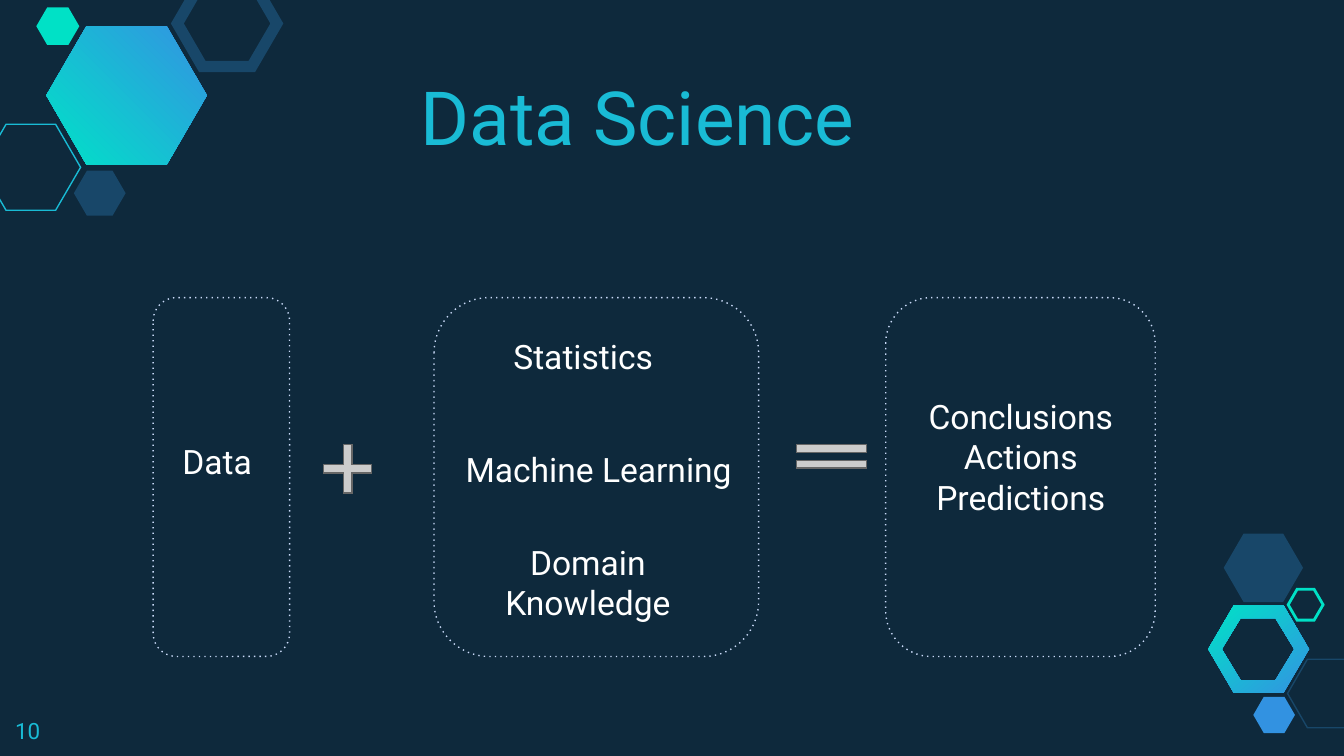
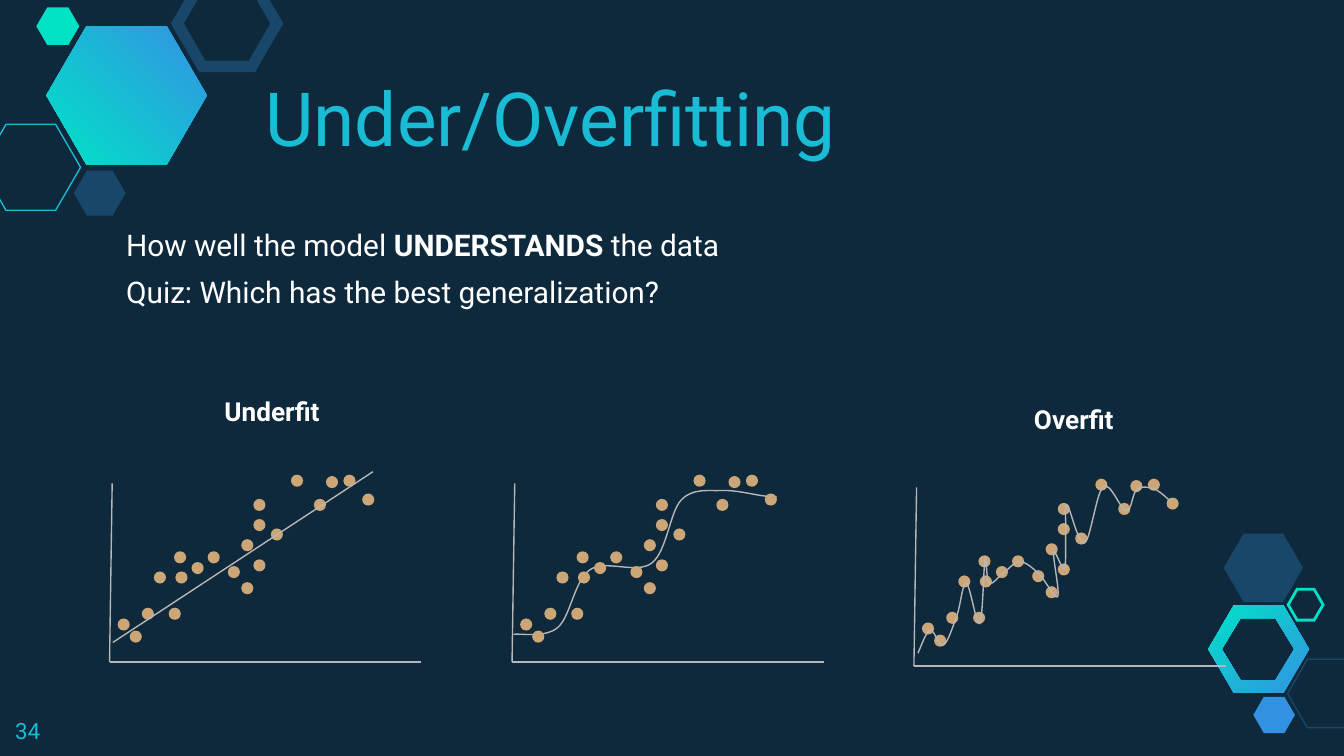
from lxml.etree import SubElement
from pptx import Presentation
from pptx.dml.color import RGBColor
from pptx.enum.dml import MSO_LINE
from pptx.enum.shapes import MSO_CONNECTOR, MSO_SHAPE
from pptx.enum.text import MSO_ANCHOR, MSO_AUTO_SIZE, PP_ALIGN
from pptx.oxml.ns import qn
from pptx.util import Inches, Pt

WIDE = Inches(10)
HIGH = Inches(5.625)
COLS = 100

FONT = "Roboto"
NIGHT, NAVY, CYAN, MINT, BLUE = "0E293C", "184769", "19BBD5", "00E1C6", "3292E1"
WHITE, PALE, LIGHT, DARK = "FFFFFF", "C9DAF8", "CCCCCC", "666666"
GREY, SAND = "B7B7B7", "CCA677"

INSET = 1
FRAME = {
    "word_wrap": True,
    "auto_size": MSO_AUTO_SIZE.NONE,
}
HEXES = [
    (3.45, 1.95, 11.95, 10.3, {"blend": 225}),
    (-1.4, 9.25, 7.4, 6.4, {"edge": CYAN}),
    (5.5, 12.7, 3.85, 3.35, {"fill": NAVY}),
    (13.2, -1.45, 7.4, 6.4, {"edge": NAVY, "thick": 6}),
    (2.7, 0.55, 3.2, 2.8, {"fill": MINT}),
    (95.8, 49.05, 5.9, 5.1, {"edge": NAVY}),
    (93.25, 51.85, 3.1, 2.7, {"fill": BLUE}),
    (91.05, 39.7, 5.9, 5.1, {"fill": NAVY}),
    (95.85, 43.85, 2.6, 2.3, {"edge": MINT, "thick": 1.5}),
]
DOTS = [
    (10.7, 12.1), (10.7, 7.6), (12, 9.9), (9.8, 9.1), (4.8, 8.2), (4.9, 6.7),
    (4.4, 4), (3.3, 6.7), (7.3, 8.2), (17.4, 13.9), (10.7, 10.6),
    (18.8, 12.5), (13.5, 13.9), (2.4, 4), (1.5, 2.3), (0.6, 3.2),
    (15.2, 12.1), (9.8, 5.9), (16.1, 13.8), (6.1, 7.4), (8.8, 7.1),
]
SMOOTH = [
    (38.2, 47.2), (41.5, 46.7), (43.9, 42.4), (48.5, 41.9),
    (50.7, 37.2), (53.7, 36.5), (56.8, 36.9), (57.8, 37),
]
JAGGED = [
    (68.3, 48.6), (69.2, 46.9), (70.2, 48), (71.2, 45.8), (71.9, 43.4),
    (72.9, 46.4), (73.3, 41.6), (73.6, 43.4), (74.7, 42.6), (75.9, 41.8),
    (77.3, 42.7), (78.7, 44.4), (78.4, 41.1), (79.2, 42.3), (79.3, 39.5),
    (79.4, 37.6), (80.7, 40.4), (82.1, 36.2), (83.8, 38), (84.6, 36.4),
    (85.9, 36.4), (87.1, 37.3),
]


def cells(*counts):
    return [round(WIDE * count / COLS) for count in counts]


def hue(code):
    return RGBColor.from_string(code)


def apply(item, values):
    for name, value in values.items():
        setattr(item, name, value)


def paint(shape, fill=None, edge=None, thick=0.75, dots=False, blend=None):
    shape.shadow.inherit = False
    if blend is not None:
        shape.fill.gradient()
        shape.fill.gradient_angle = blend
        for stop, code in zip(shape.fill.gradient_stops, ("3393E2", "00E2C7")):
            stop.color.rgb = hue(code)
    elif fill:
        shape.fill.solid()
        shape.fill.fore_color.rgb = hue(fill)
    else:
        shape.fill.background()
    if not edge:
        shape.line.fill.background()
        return
    shape.line.color.rgb = hue(edge)
    shape.line.width = Pt(thick)
    outline = shape._element.spPr.find(qn("a:ln"))
    if dots:
        shape.line.dash_style = MSO_LINE.ROUND_DOT
        outline.find(qn("a:prstDash")).set("val", "dot")
    SubElement(outline, qn("a:miter"), lim="800000")


def draw(slide, kind, x, y, w, h, bends=(), **look):
    shape = slide.shapes.add_shape(kind, *cells(x, y, w, h))
    for index, bend in enumerate(bends):
        shape.adjustments[index] = bend
    paint(shape, **look)


def line(slide, *ends):
    link = slide.shapes.add_connector(MSO_CONNECTOR.STRAIGHT, *cells(*ends))
    link.line.color.rgb = hue(GREY)
    link.line.width = Pt(0.75)
    SubElement(link._element.spPr, qn("a:effectLst"))


def trace(slide, loops, close, **look):
    first, *rest = loops
    pen = slide.shapes.build_freeform(*cells(*first[0]))
    pen.add_line_segments([cells(*spot) for spot in first[1:]], close=close)
    for loop in rest:
        pen.move_to(*cells(*loop[0]))
        pen.add_line_segments([cells(*spot) for spot in loop[1:]], close=close)
    shape = pen.convert_to_shape()
    paint(shape, **look)
    return shape


def curve(slide, knots):
    root = trace(slide, [knots], False, edge=GREY)._element
    spots = [(int(dot.get("x")), int(dot.get("y"))) for dot in root.iter(qn("a:pt"))]
    ends = [spots[0], *spots, spots[-1]]
    for index, leg in enumerate(list(root.iter(qn("a:lnTo")))):
        a, b, c, d = ends[index:index + 4]
        bends = [[q + (r - p) / 6 for p, q, r in zip(a, b, c)],
                 [q - (r - p) / 6 for p, q, r in zip(b, c, d)], c]
        leg.tag = qn("a:cubicBezTo")
        leg.remove(leg[0])
        for x, y in bends:
            SubElement(leg, qn("a:pt"), x=str(round(x)), y=str(round(y)))


def write(frame, lines, size, code=WHITE, align=PP_ALIGN.LEFT, gap=0,
          anchor=MSO_ANCHOR.TOP):
    apply(frame, FRAME)
    frame.vertical_anchor = anchor
    for side in ("left", "top", "right", "bottom"):
        setattr(frame, f"margin_{side}", cells(INSET)[0])
    for index, runs in enumerate(lines):
        para = frame.add_paragraph() if index else frame.paragraphs[0]
        apply(para, {"alignment": align, "space_before": Pt(gap if index else 0)})
        for text, bold in runs:
            run = para.add_run()
            run.text = text
            apply(run.font, {"name": FONT, "size": Pt(size), "bold": bold})
            run.font.color.rgb = hue(code)


def label(slide, x, y, w, h, lines, size, **look):
    box = slide.shapes.add_textbox(*cells(x, y, w, h))
    lines = [[(text, False)] if isinstance(text, str) else text for text in lines]
    write(box.text_frame, lines, size, **look)


def ring(x, y, w, h, slant):
    return [(x + slant, y + h), (x, y + h / 2), (x + slant, y),
            (x + w - slant, y), (x + w, y + h / 2), (x + w - slant, y + h)]


def adorn(deck, slide):
    master = deck.slide_master
    ground = master.background.fill
    ground.solid()
    ground.fore_color.rgb = hue(NIGHT)
    held = len(slide.shapes)
    trace(slide, [ring(89.9, 45.05, 7.5, 6.5, 1.9),
                  ring(90.9, 46, 5.4, 4.6, 1.4)], True, blend=130)
    for *place, look in HEXES:
        draw(slide, MSO_SHAPE.HEXAGON, *place, bends=[0.29], **look)
    for index, shape in enumerate(list(slide.shapes)[held:]):
        shape._element.nvSpPr.cNvPr.set("id", str(100 + index))
        master.shapes._spTree.append(shape._element)


def start(deck, title, x, y, w, number):
    slide = deck.slides.add_slide(deck.slide_layouts[5])
    head = slide.shapes.title
    apply(head, dict(zip(("left", "top", "width", "height"), cells(x, y, w, 7.1))))
    write(head.text_frame, [[(title, False)]], 40, CYAN, anchor=MSO_ANCHOR.BOTTOM)
    label(slide, 0.15, 52.35, 6, 3.9, [number], 12, code=CYAN)
    return slide


def science(deck):
    slide = start(deck, "Data Science", 30.3, 5.85, 39.4, "10")
    adorn(deck, slide)
    for x, w in ((11.4, 10.15), (32.3, 24.15), (65.9, 20.05)):
        draw(slide, MSO_SHAPE.ROUNDED_RECTANGLE, x, 22.15, w, 26.7,
             bends=[0.17], edge=PALE, dots=True)
    metal = {"fill": LIGHT, "edge": DARK}
    draw(slide, MSO_SHAPE.MATH_PLUS, 23.45, 32.4, 4.85, 4.95, [0.13], **metal)
    draw(slide, MSO_SHAPE.MATH_EQUAL, 58.35, 31.5, 7.05, 4.9, [0.12, 0.12], **metal)
    label(slide, 10.4, 31.8, 11.5, 6.1, ["Data"], 18, align=PP_ALIGN.CENTER)
    parts = [("Statistics", 34.9, 17), ("Machine Learning", 31.8, 25.5),
             ("Domain Knowledge", 32.95, 21.6)]
    for row, (text, x, w) in enumerate(parts):
        label(slide, x, 23.17 + 8.4 * row, w, 6.7, [text], 18,
              align=PP_ALIGN.CENTER, anchor=MSO_ANCHOR.MIDDLE)
    label(slide, 64.35, 28.45, 23.2, 12.9, ["Conclusions", "Actions Predictions"],
          18, align=PP_ALIGN.CENTER)


def plot(slide, x, y):
    line(slide, x, y, x + 0.2, y - 13.3)
    line(slide, x, y, x + 23.2, y)
    for right, rise in DOTS:
        draw(slide, MSO_SHAPE.OVAL, x + right, y - rise - 0.05, 0.9, 0.9, fill=SAND)


def fitting(deck):
    slide = start(deck, "Under/Overfitting", 18.75, 5.95, 77.8, "34")
    label(slide, 8.4, 15.9, 88.2, 6.4, [
        [("How well the model ", False), ("UNDERSTANDS", True), (" the data", False)],
        "Quiz: Which has the best generalization?",
    ], 16, gap=6)
    curve(slide, SMOOTH)
    for x, y in ((8.15, 49.27), (38.1, 49.27), (68, 49.57)):
        plot(slide, x, y)
    line(slide, 8.4, 47.8, 27.75, 35.1)
    curve(slide, JAGGED)
    for text, *place in (("Underfit", 7.1, 28.4, 26.3, 16.9),
                         ("Overfit", 64.7, 29, 30.4, 6.4)):
        label(slide, *place, [[(text, True)]], 14, align=PP_ALIGN.CENTER)


def main():
    deck = Presentation()
    apply(deck, {"slide_width": WIDE, "slide_height": HIGH})
    science(deck)
    fitting(deck)
    deck.save("out.pptx")


if __name__ == "__main__":
    main()
